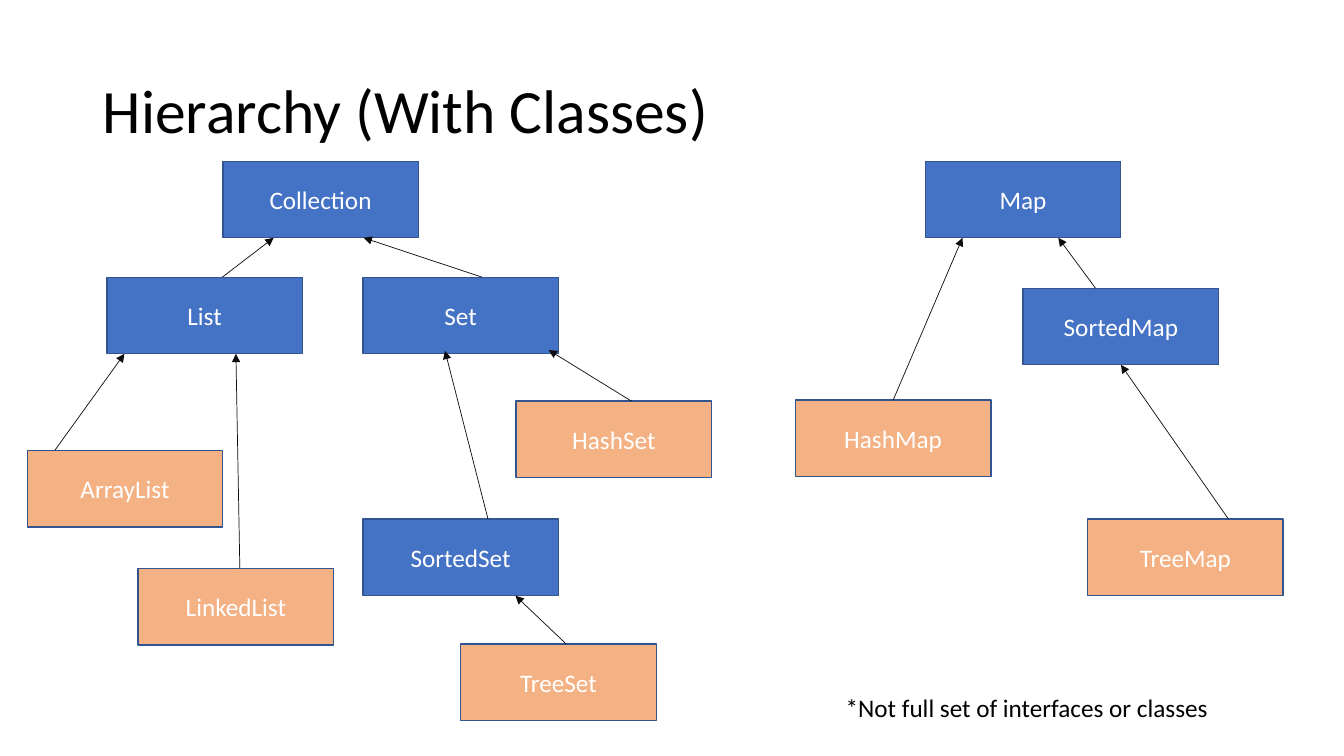
import pptx
import pptx.dml.color
import pptx.enum.shapes
import pptx.enum.text
import pptx.oxml.ns
import pptx.util
from lxml import etree

RGBColor = pptx.dml.color.RGBColor
ALIGN = pptx.enum.text.PP_ALIGN
ANCHOR = pptx.enum.text.MSO_ANCHOR
AUTO_SIZE = pptx.enum.text.MSO_AUTO_SIZE

BLUE = RGBColor(0x44, 0x72, 0xC4)
ORANGE = RGBColor(0xF4, 0xB1, 0x83)
OUTLINE = RGBColor(0x32, 0x54, 0x91)
ARROW = RGBColor(0x0D, 0x0D, 0x0D)
BLACK = RGBColor(0, 0, 0)
WHITE = RGBColor(255, 255, 255)

# Positions are columns and rows of a grid of 100 by 100 over the slide.
BOX_WIDTH, BOX_HEIGHT = 14.55, 10.13
INTERFACES = {
    "Collection": (16.58, 21.33), "List": (7.95, 36.67), "Set": (27, 36.67),
    "SortedSet": (27, 68.67), "Map": (68.85, 21.33), "SortedMap": (76.13, 38.13),
}
CLASSES = {
    "ArrayList": (2.03, 59.6), "LinkedList": (10.28, 75.2), "HashSet": (38.4, 53.07),
    "TreeSet": (34.28, 85.2), "HashMap": (59.18, 52.93), "TreeMap": (80.93, 68.67),
}
# Child, parent, share along the child's top, share along the parent's bottom,
# rows by which the arrowhead reaches into the parent.
INHERITANCE = [
    ("List", "Collection", 0.59, 0.26, 0),
    ("ArrayList", "List", 0.14, 0.09, 0),
    ("LinkedList", "List", 0.52, 0.66, 0),
    ("Set", "Collection", 0.61, 0.72, 0),
    ("HashSet", "Set", 0.59, 0.95, 0.5),
    ("SortedSet", "Set", 0.64, 0.42, 0.4),
    ("TreeSet", "SortedSet", 0.54, 0.78, 0),
    ("SortedMap", "Map", 0.37, 0.68, 0),
    ("HashMap", "Map", 0.5, 0.19, 0),
    ("TreeMap", "SortedMap", 0.72, 0.5, 0),
]


def write(frame, text, size=18, color=BLACK, align=ALIGN.LEFT, anchor=ANCHOR.MIDDLE,
          spacing=1.0, wrap=True, auto_size=AUTO_SIZE.NONE):
    """Put one formatted paragraph into a text frame."""
    frame.word_wrap = wrap
    frame.auto_size = auto_size
    frame.vertical_anchor = anchor
    paragraph = frame.paragraphs[0]
    paragraph.alignment = align
    paragraph.line_spacing = spacing
    run = paragraph.add_run()
    run.text = text
    run.font.name = "Calibri"
    run.font.size = pptx.util.Pt(size)
    run.font.color.rgb = color


class HierarchySlide:
    """Holds the grid, the style and the slide being drawn."""

    def __init__(self, deck):
        """Add a title-only slide and measure its grid."""
        self.slide = deck.slides.add_slide(deck.slide_layouts[5])
        self.column = deck.slide_width / 100
        self.row = deck.slide_height / 100

    def lengths(self, *grid):
        """Turn alternating columns and rows into slide lengths."""
        return [round(value * (self.row if i % 2 else self.column))
                for i, value in enumerate(grid)]

    def title(self, text, *area):
        """Place and fill the title placeholder."""
        heading = self.slide.shapes.title
        heading.left, heading.top, heading.width, heading.height = self.lengths(*area)
        write(heading.text_frame, text, size=44, spacing=0.9)

    def box(self, text, place, fill):
        """Draw one type of the hierarchy."""
        shape = self.slide.shapes.add_shape(
            pptx.enum.shapes.MSO_SHAPE.RECTANGLE,
            *self.lengths(*place, BOX_WIDTH, BOX_HEIGHT))
        shape.shadow.inherit = False
        shape.fill.solid()
        shape.fill.fore_color.rgb = fill
        shape.line.color.rgb = OUTLINE
        shape.line.width = pptx.util.Pt(1)
        write(shape.text_frame, text, color=WHITE, align=ALIGN.CENTER)

    def arrow(self, start, end):
        """Draw a thin line with an arrowhead at its end."""
        line = self.slide.shapes.add_connector(
            pptx.enum.shapes.MSO_CONNECTOR.STRAIGHT, *self.lengths(*start, *end))
        line.line.color.rgb = ARROW
        line.line.width = pptx.util.Pt(0.5)
        qn = pptx.oxml.ns.qn
        etree.SubElement(line.line._get_or_add_ln(), qn("a:tailEnd"), type="triangle")
        etree.SubElement(line._element.spPr, qn("a:effectLst"))

    def note(self, text, *area):
        """Add a line of plain text."""
        frame = self.slide.shapes.add_textbox(*self.lengths(*area)).text_frame
        write(frame, text, anchor=ANCHOR.TOP, wrap=False,
              auto_size=AUTO_SIZE.SHAPE_TO_FIT_TEXT)


def main():
    """Build the class hierarchy and save it."""
    deck = pptx.Presentation()
    deck.slide_width = pptx.util.Inches(13.33)
    deck.slide_height = pptx.util.Inches(7.5)
    hierarchy = HierarchySlide(deck)
    hierarchy.title("Hierarchy (With Classes)", 6.9, 5.33, 86.25, 19.33)
    for types, fill in ((INTERFACES, BLUE), (CLASSES, ORANGE)):
        for name, place in types.items():
            hierarchy.box(name, place, fill)
    places = {**INTERFACES, **CLASSES}
    for child, parent, child_share, parent_share, reach in INHERITANCE:
        child_left, child_top = places[child]
        parent_left, parent_top = places[parent]
        hierarchy.arrow(
            (child_left + child_share * BOX_WIDTH, child_top),
            (parent_left + parent_share * BOX_WIDTH, parent_top + BOX_HEIGHT - reach))
    hierarchy.note("*Not full set of interfaces or classes", 62.18, 90.93, 28.8, 5.33)
    deck.save("out.pptx")


main()
